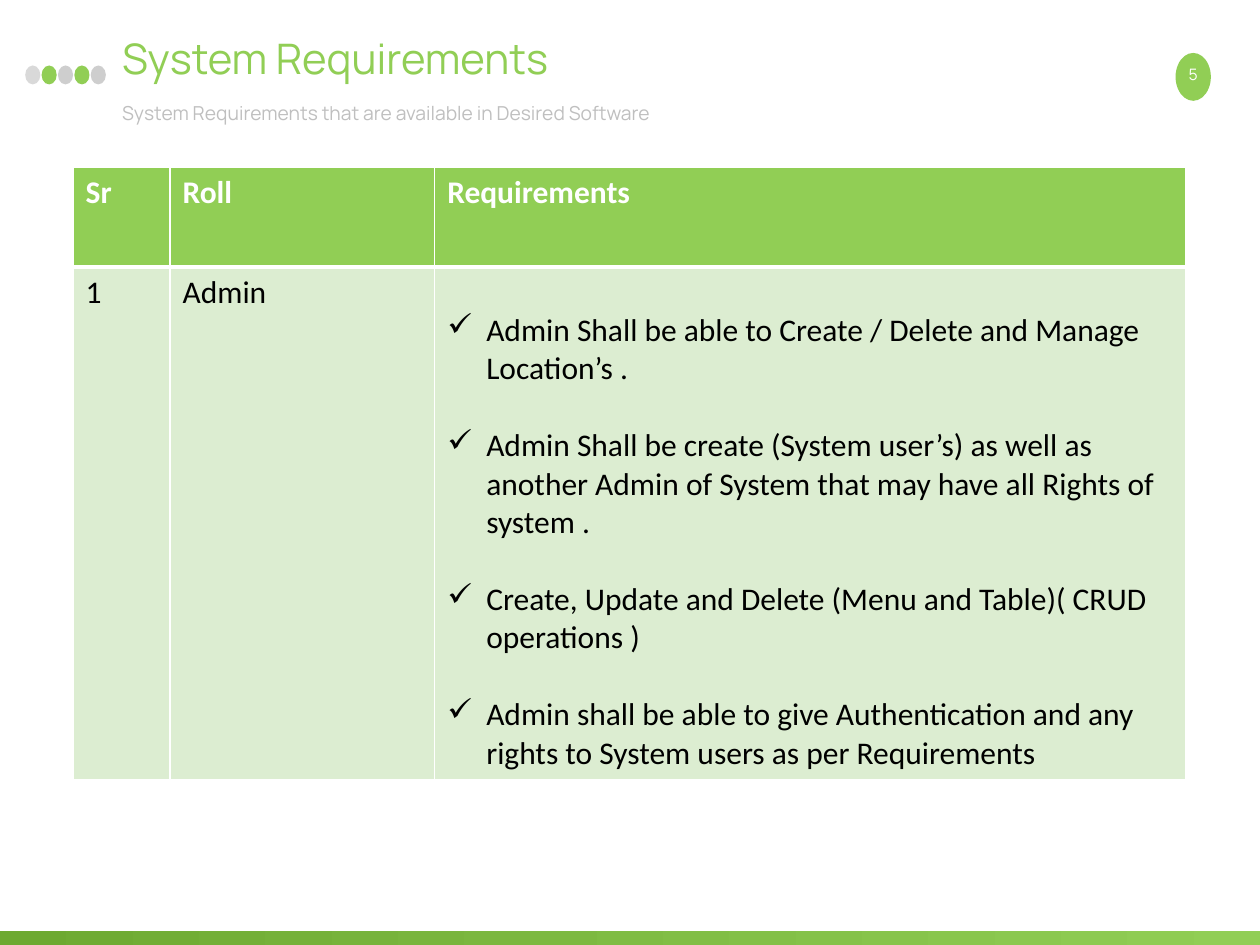
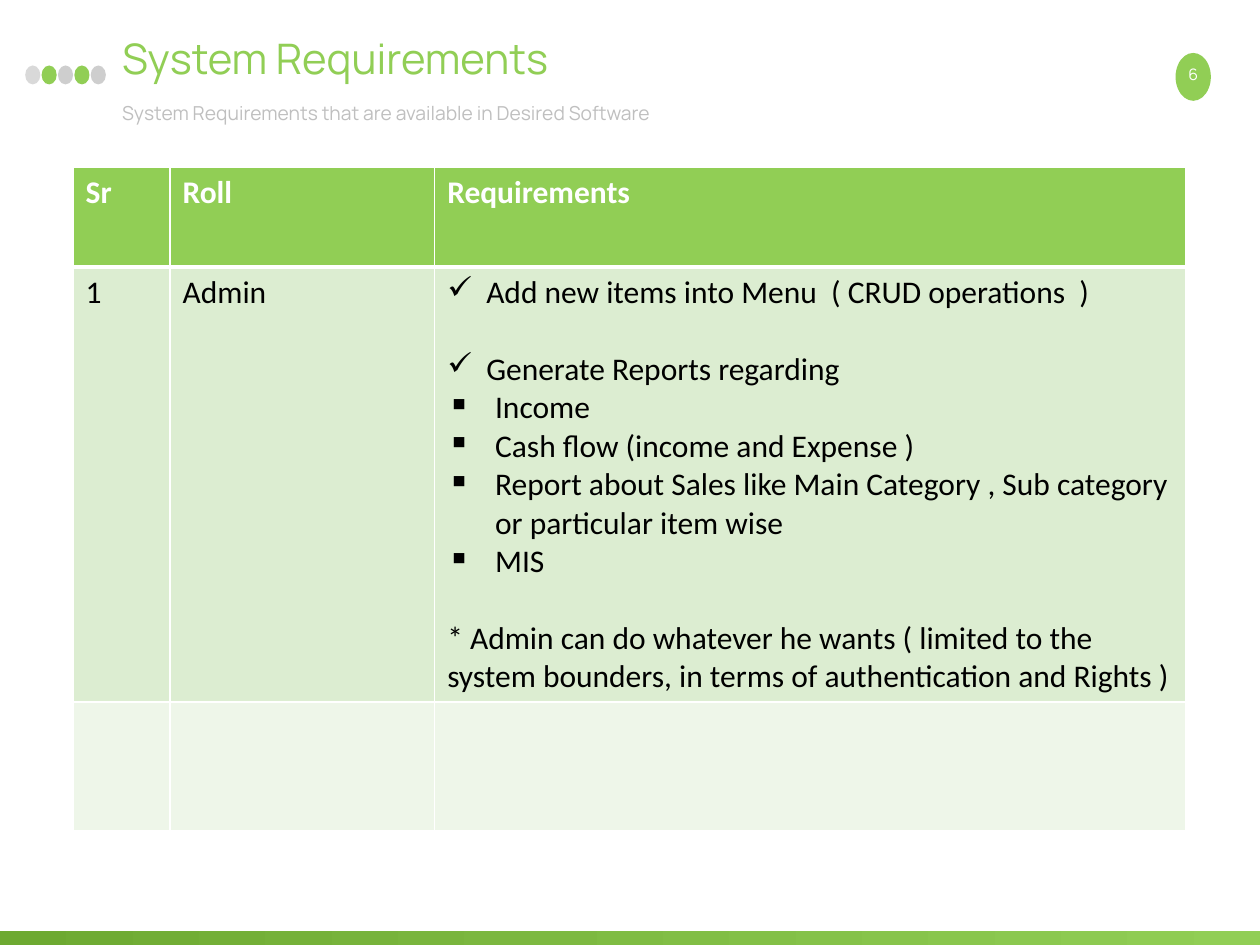
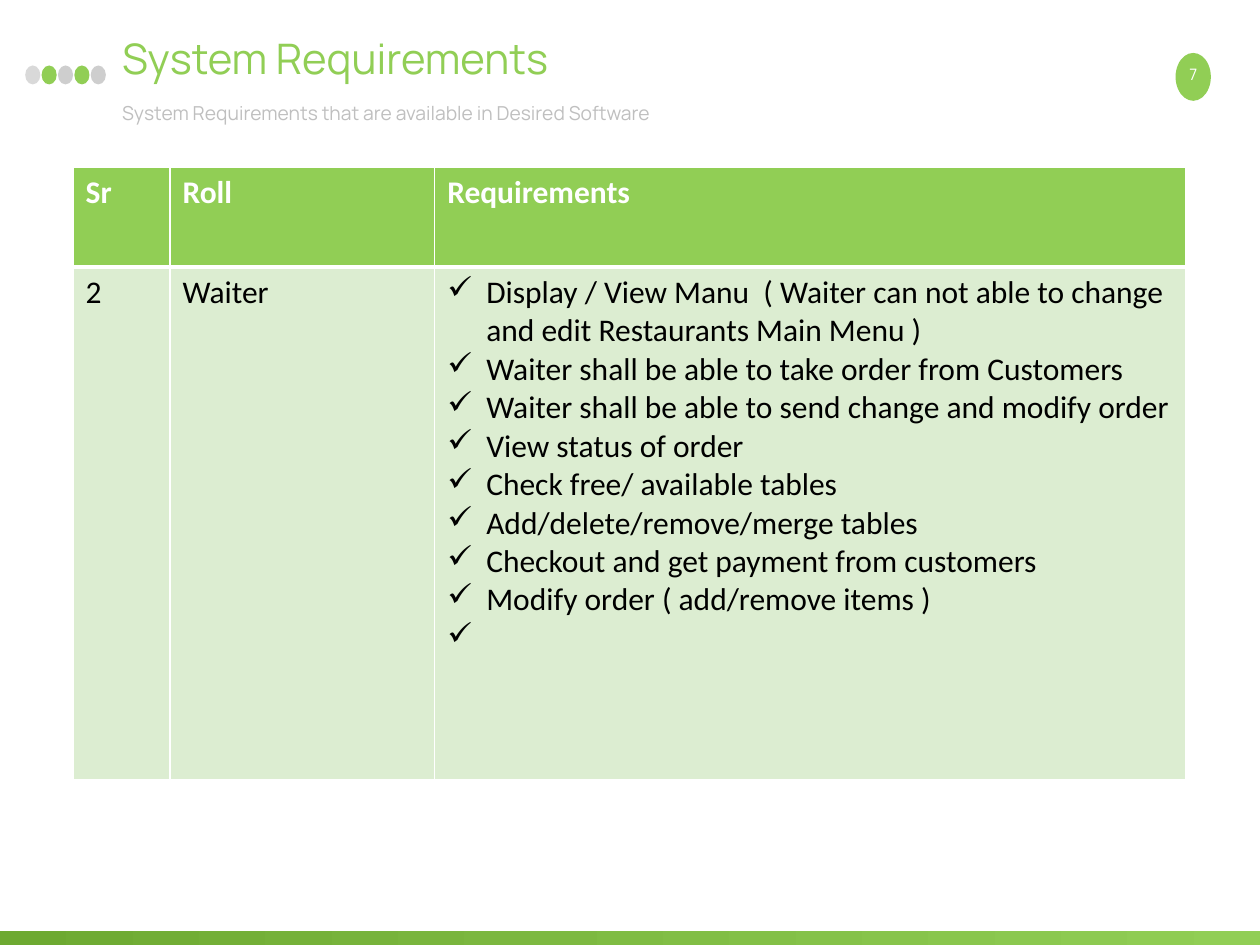
from lxml import etree
from pptx import Presentation
from pptx.dml.color import RGBColor
from pptx.enum.shapes import MSO_SHAPE
from pptx.enum.text import MSO_ANCHOR, MSO_AUTO_SIZE, PP_ALIGN
from pptx.oxml.ns import qn
from pptx.util import Inches, Pt

GREEN = RGBColor(0x91, 0xCE, 0x55)
DARK_GREEN = RGBColor(0x6D, 0xA9, 0x31)
PALE_GREEN = RGBColor(0xDC, 0xED, 0xD1)
PALER_GREEN = RGBColor(0xEE, 0xF6, 0xE9)
GREY = RGBColor(0xCE, 0xCE, 0xCE)
LIGHT_GREY = RGBColor(0xD9, 0xD9, 0xD9)
TEXT_GREY = RGBColor(0xBF, 0xBF, 0xBF)
WHITE = RGBColor(0xFF, 0xFF, 0xFF)
BLACK = RGBColor(0, 0, 0)

TITLE = "System Requirements"
SUBTITLE = "System Requirements that are available in Desired Software"
HEADERS = ["Sr", "Roll", "Requirements"]
COL_WIDTHS = [0.77, 2.1, 5.96]
HEADER_HEIGHT = 0.79
DOT_COLORS = [LIGHT_GREY, GREEN, GREY, GREEN, GREY]
INDENTS = {"✓": 0.31, "▪": 0.38}
LINE_GAP = 22

SLIDES = [
    {"page": "5", "sr": "1", "role": "Admin", "heights": [4.07], "top": 0.35, "items": [
        ("✓", "Admin Shall be able to Create / Delete and Manage Location’s .", 0),
        ("✓", "Admin Shall be create (System user’s) as well as another Admin of "
              "System that may have all Rights of system .", LINE_GAP),
        ("✓", "Create, Update and Delete (Menu and Table)( CRUD operations )", LINE_GAP),
        ("✓", "Admin shall be able to give Authentication and any rights to "
              "System users as per Requirements", LINE_GAP),
    ]},
    {"page": "6", "sr": "1", "role": "Admin", "heights": [3.45, 1.02], "top": 0.05, "items": [
        ("✓", "Add new items into Menu  ( CRUD operations  )", 0),
        ("✓", "Generate Reports regarding", LINE_GAP),
        ("▪", "Income", 0),
        ("▪", "Cash flow (income and Expense )", 0),
        ("▪", "Report about Sales like Main Category , Sub category or particular item wise", 0),
        ("▪", "MIS", 0),
        (None, "* Admin can do whatever he wants ( limited to the system bounders, "
               "in terms of authentication and Rights )", LINE_GAP),
    ]},
    {"page": "7", "sr": "2", "role": "Waiter", "heights": [4.07], "top": 0.05, "items": [
        ("✓", "Display / View Manu  ( Waiter can not able to change and edit "
              "Restaurants Main Menu )", 0),
        ("✓", "Waiter shall be able to take order from Customers", 0),
        ("✓", "Waiter shall be able to send change and modify order", 0),
        ("✓", "View status of order", 0),
        ("✓", "Check free/ available tables", 0),
        ("✓", "Add/delete/remove/merge tables", 0),
        ("✓", "Checkout and get payment from customers", 0),
        ("✓", "Modify order ( add/remove items )", 0),
        ("✓", " ", 0),
    ]},
]


def write(p, text, size=18, font="Calibri", color=BLACK, bold=False,
          align=PP_ALIGN.LEFT, before=None, bullet=None):
    p.alignment = align
    if before:
        p.space_before = Pt(before)
    r = p.add_run()
    r.text = text
    r.font.size, r.font.name, r.font.bold = Pt(size), font, bold
    r.font.color.rgb = color
    if bullet:
        pPr = p._p.get_or_add_pPr()
        indent = Inches(INDENTS[bullet])
        pPr.set("marL", str(indent))
        pPr.set("indent", str(-indent))
        etree.SubElement(pPr, qn("a:buChar")).set("char", bullet)


def add_block(s, kind, box, color):
    sp = s.shapes.add_shape(kind, *map(Inches, box))
    sp.shadow.inherit = False
    sp.line.fill.background()
    sp.fill.solid()
    sp.fill.fore_color.rgb = color
    return sp


def fill_placeholder(sp, box, text, size, color):
    sp.left, sp.top, sp.width, sp.height = map(Inches, box)
    tf = sp.text_frame
    tf.auto_size = MSO_AUTO_SIZE.NONE
    tf.vertical_anchor = MSO_ANCHOR.TOP
    p = tf.paragraphs[0]
    write(p, text, size=size, font="Manrope", color=color)
    pPr = p._p.get_or_add_pPr()
    pPr.set("marL", "0")
    pPr.set("indent", "0")
    etree.SubElement(pPr, qn("a:buNone"))


def add_frame(s, page):
    for i, color in enumerate(DOT_COLORS):
        add_block(s, MSO_SHAPE.OVAL, (0.2 + 0.13 * i, 0.52, 0.12, 0.15), color)
    add_block(s, MSO_SHAPE.OVAL, (9.33, 0.42, 0.28, 0.38), GREEN)
    band = add_block(s, MSO_SHAPE.RECTANGLE, (0, 7.39, 10, 0.11), GREEN)
    band.fill.gradient()
    band.fill.gradient_angle = 0
    for stop, color in zip(band.fill.gradient_stops, (DARK_GREEN, GREEN)):
        stop.color.rgb = color
    fill_placeholder(s.shapes.title, (0.87, 0.21, 7.97, 0.8), TITLE, 24, GREEN)
    fill_placeholder(s.placeholders[1], (0.87, 0.75, 7.97, 0.43), SUBTITLE, 11, TEXT_GREY)
    number = s.shapes.add_textbox(*map(Inches, (9.25, 0.39, 0.44, 0.4)))
    tf = number.text_frame
    tf.word_wrap = True
    tf.vertical_anchor = MSO_ANCHOR.MIDDLE
    write(tf.paragraphs[0], page, size=9, font="Manrope", color=WHITE, align=PP_ALIGN.CENTER)


def style_cell(cell, row):
    tcPr = cell._tc.get_or_add_tcPr()
    thick = {0: "B", 1: "T"}.get(row)
    for side in "LRTB":
        ln = etree.SubElement(tcPr, qn(f"a:ln{side}"), w=str(Pt(3 if side == thick else 1)))
        fill = etree.SubElement(ln, qn("a:solidFill"))
        etree.SubElement(fill, qn("a:srgbClr"), val=str(WHITE))
    cell.fill.solid()
    cell.fill.fore_color.rgb = (GREEN, PALE_GREEN, PALER_GREEN)[row]


def add_requirements(s, data):
    heights = [HEADER_HEIGHT] + data["heights"]
    box = (0.58, 1.33, sum(COL_WIDTHS), sum(heights))
    table = s.shapes.add_table(len(heights), len(HEADERS), *map(Inches, box)).table
    for col, width in zip(table.columns, COL_WIDTHS):
        col.width = Inches(width)
    for i, height in enumerate(heights):
        table.rows[i].height = Inches(height)
        for j in range(len(HEADERS)):
            style_cell(table.cell(i, j), i)
    for j, text in enumerate(HEADERS):
        write(table.cell(0, j).text_frame.paragraphs[0], text, color=WHITE, bold=True)
    for j, text in enumerate((data["sr"], data["role"])):
        write(table.cell(1, j).text_frame.paragraphs[0], text)
    cell = table.cell(1, 2)
    cell.margin_top = Inches(data["top"])
    tf = cell.text_frame
    for i, (bullet, text, gap) in enumerate(data["items"]):
        p = tf.add_paragraph() if i else tf.paragraphs[0]
        write(p, text, before=gap, bullet=bullet)


def main():
    prs = Presentation()
    prs.slide_width, prs.slide_height = Inches(10), Inches(7.5)
    for data in SLIDES:
        s = prs.slides.add_slide(prs.slide_layouts[1])
        add_frame(s, data["page"])
        add_requirements(s, data)
    prs.save("out.pptx")


if __name__ == "__main__":
    main()
